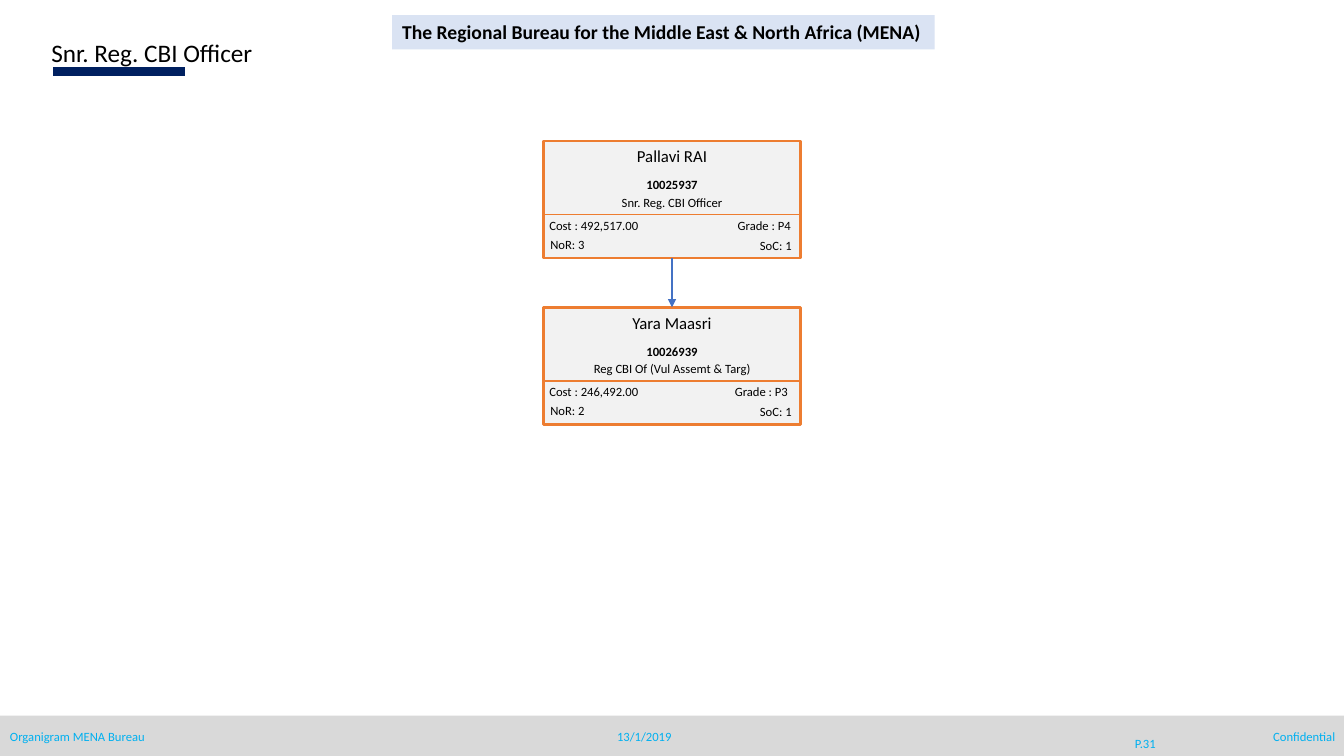
from dataclasses import dataclass

from lxml.etree import SubElement
from pptx import Presentation
from pptx.dml.color import RGBColor
from pptx.enum.shapes import MSO_CONNECTOR, MSO_SHAPE
from pptx.enum.text import MSO_ANCHOR, MSO_AUTO_SIZE, PP_ALIGN
from pptx.oxml.ns import qn
from pptx.util import Inches, Pt


@dataclass(frozen=True)
class Theme:
    """Colours, font and type sizes of the organigram."""
    font: str = "Calibri"
    ink: str = "000000"
    navy: str = "002060"
    footer_fill: str = "D9D9D9"
    footer_ink: str = "00B0F0"
    card_fill: str = "F2F2F2"
    card_line: str = "ED7D31"
    banner_fill: str = "DAE3F3"
    arrow: str = "4472C4"
    title_size: float = 18
    banner_size: float = 14
    name_size: float = 12
    small_size: float = 9


LEFT, CENTER, RIGHT = PP_ALIGN.LEFT, PP_ALIGN.CENTER, PP_ALIGN.RIGHT
CARD_LEFT, CARD_WIDTH, CARD_HEIGHT = 5.39, 2.55, 1.16
FIRST_CARD_TOP, CARD_STEP = 1.4, 1.65
FOOTER_TEXT_TOP, LINE_HEIGHT = 7.18, 0.25


def fill_text(box, text, *, font, size, color, bold=False, align=LEFT,
              anchor=MSO_ANCHOR.TOP, wrap=True):
    """Fill a shape with one formatted line of text."""
    frame = box.text_frame
    frame.word_wrap = wrap
    frame.auto_size = MSO_AUTO_SIZE.SHAPE_TO_FIT_TEXT
    frame.vertical_anchor = anchor
    para = frame.paragraphs[0]
    para.alignment = align
    span = para.add_run()
    span.text = text
    span.font.name = font
    span.font.size = Pt(size)
    span.font.bold = bold
    span.font.color.rgb = RGBColor.from_string(color)


class OrganigramPage:
    """Draws the elements of one organigram slide in a shared style."""

    def __init__(self, page, theme):
        """Keep the slide and its style."""
        self.page = page
        self.theme = theme

    def text(self, box, text, size=None, color=None, **style):
        """Set text in the theme's font, small and black by default."""
        fill_text(box, text, font=self.theme.font, size=size or self.theme.small_size,
                  color=color or self.theme.ink, **style)

    def title(self, text, left, top, width, height):
        """Place and format the title placeholder."""
        box = self.page.shapes.title
        box.left, box.top = Inches(left), Inches(top)
        box.width, box.height = Inches(width), Inches(height)
        self.text(box, text, self.theme.title_size)

    def label(self, text, left, top, width, height=LINE_HEIGHT, **style):
        """Add a text box."""
        box = self.page.shapes.add_textbox(
            Inches(left), Inches(top), Inches(width), Inches(height))
        self.text(box, text, **style)

    def rectangle(self, left, top, width, height, fill, line=None):
        """Add a flat rectangle, outlined when a line colour is given."""
        box = self.page.shapes.add_shape(
            MSO_SHAPE.RECTANGLE, Inches(left), Inches(top), Inches(width), Inches(height))
        box.shadow.inherit = False
        box.fill.solid()
        box.fill.fore_color.rgb = RGBColor.from_string(fill)
        if line:
            box.line.color.rgb = RGBColor.from_string(line)
            box.line.width = Pt(2)
        else:
            box.line.fill.background()
        return box

    def line(self, start, end, color, width):
        """Add a straight line without shadow."""
        link = self.page.shapes.add_connector(
            MSO_CONNECTOR.STRAIGHT, *map(Inches, start + end))
        link.line.color.rgb = RGBColor.from_string(color)
        link.line.width = Pt(width)
        SubElement(link._element.spPr, qn("a:effectLst"))
        return link

    def arrow(self, upper, lower):
        """Join two cards from bottom to top with an arrow."""
        link = self.line((0, 0), (0, 0), self.theme.arrow, 1.5)
        link.begin_connect(upper, 2)
        link.end_connect(lower, 0)
        SubElement(link._element.spPr.find(qn("a:ln")), qn("a:tailEnd"), type="triangle")

    def banner(self, text, left, top, width, height):
        """Add the filled heading of the bureau."""
        box = self.rectangle(left, top, width, height, self.theme.banner_fill)
        self.text(box, text, self.theme.banner_size, bold=True, wrap=False)

    def card(self, top, name, number, job, cost, grade, reports, span_of_control):
        """Add one staff card and return its frame."""
        theme = self.theme
        right = CARD_LEFT + CARD_WIDTH
        frame = self.rectangle(CARD_LEFT, top, CARD_WIDTH, CARD_HEIGHT,
                               theme.card_fill, theme.card_line)
        self.label(name, CARD_LEFT, top, CARD_WIDTH, 0.3,
                   size=theme.name_size, align=CENTER)
        self.label(number, CARD_LEFT, top + 0.31, CARD_WIDTH, bold=True, align=CENTER)
        self.label(job, CARD_LEFT, top + 0.48, CARD_WIDTH, align=CENTER)
        self.line((CARD_LEFT, top + 0.73), (right, top + 0.73), theme.card_line, 1)
        self.label(cost, CARD_LEFT - 0.04, top + 0.71, 1.4)
        self.label(grade, right - 1.22, top + 0.71, 1.22, align=RIGHT)
        self.label(reports, CARD_LEFT - 0.03, top + 0.9, 0.78)
        self.label(span_of_control, right - 1.01, top + 0.91, 1.02, align=RIGHT)
        return frame

    def footer(self):
        """Add the grey footer band and its texts."""
        middle = MSO_ANCHOR.MIDDLE
        self.rectangle(0, 7.1, 13.33, 0.4, self.theme.footer_fill)
        for text, left, width, height, align, anchor in (
            ("Organigram MENA Bureau", 0, 3.08, LINE_HEIGHT, LEFT, MSO_ANCHOR.TOP),
            ("13/1/2019", 5.95, 0.88, LINE_HEIGHT, CENTER, middle),
            ("P.31", 10.96, 0.8, 0.4, CENTER, middle),
            ("Confidential", 10.26, 3.08, LINE_HEIGHT, RIGHT, MSO_ANCHOR.TOP),
        ):
            self.label(text, left, FOOTER_TEXT_TOP, width, height,
                       color=self.theme.footer_ink, align=align, anchor=anchor)


def main():
    """Build and save the organigram slide."""
    deck = Presentation()
    deck.slide_width, deck.slide_height = Inches(13.33), Inches(7.5)
    theme = Theme()
    sheet = OrganigramPage(deck.slides.add_slide(deck.slide_layouts[5]), theme)

    sheet.line((0.53, 0.71), (1.84, 0.71), theme.navy, 7)
    sheet.footer()
    sheet.title("Snr. Reg. CBI Officer", 0.41, 0.32, 5.3, 0.41)
    sheet.banner("The Regional Bureau for the Middle East & North Africa (MENA)",
                 3.89, 0.15, 5.38, 0.34)

    staff = (
        ("Pallavi RAI", "10025937", "Snr. Reg. CBI Officer",
         "Cost : 492,517.00", "Grade : P4", "NoR: 3", "SoC: 1"),
        ("Yara Maasri", "10026939", "Reg CBI Of (Vul Assemt & Targ)",
         "Cost : 246,492.00", "Grade : P3 ", "NoR: 2", "SoC: 1"),
    )
    cards = [sheet.card(FIRST_CARD_TOP + row * CARD_STEP, *person)
             for row, person in enumerate(staff)]
    sheet.arrow(*cards)

    deck.save("out.pptx")


if __name__ == "__main__":
    main()
